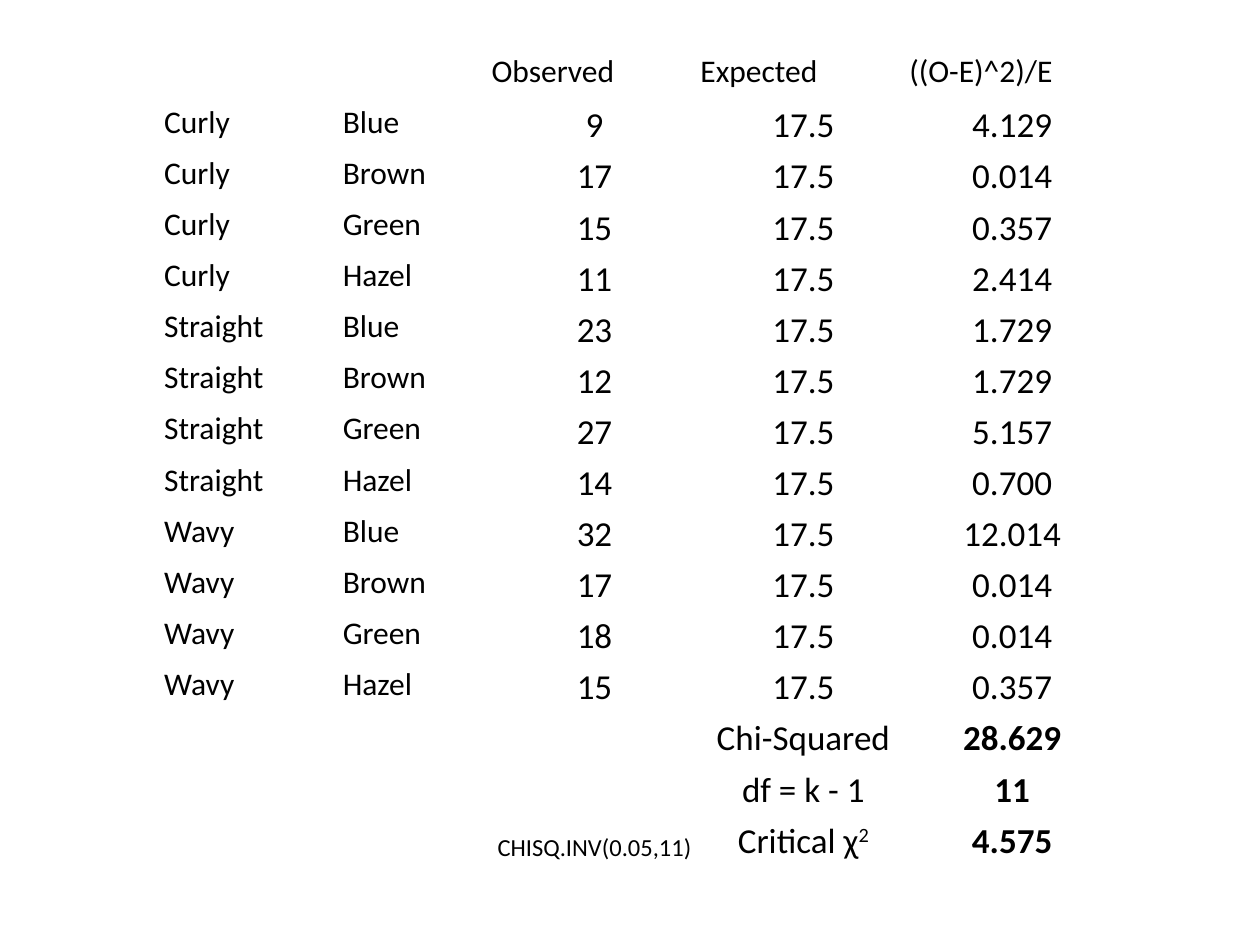
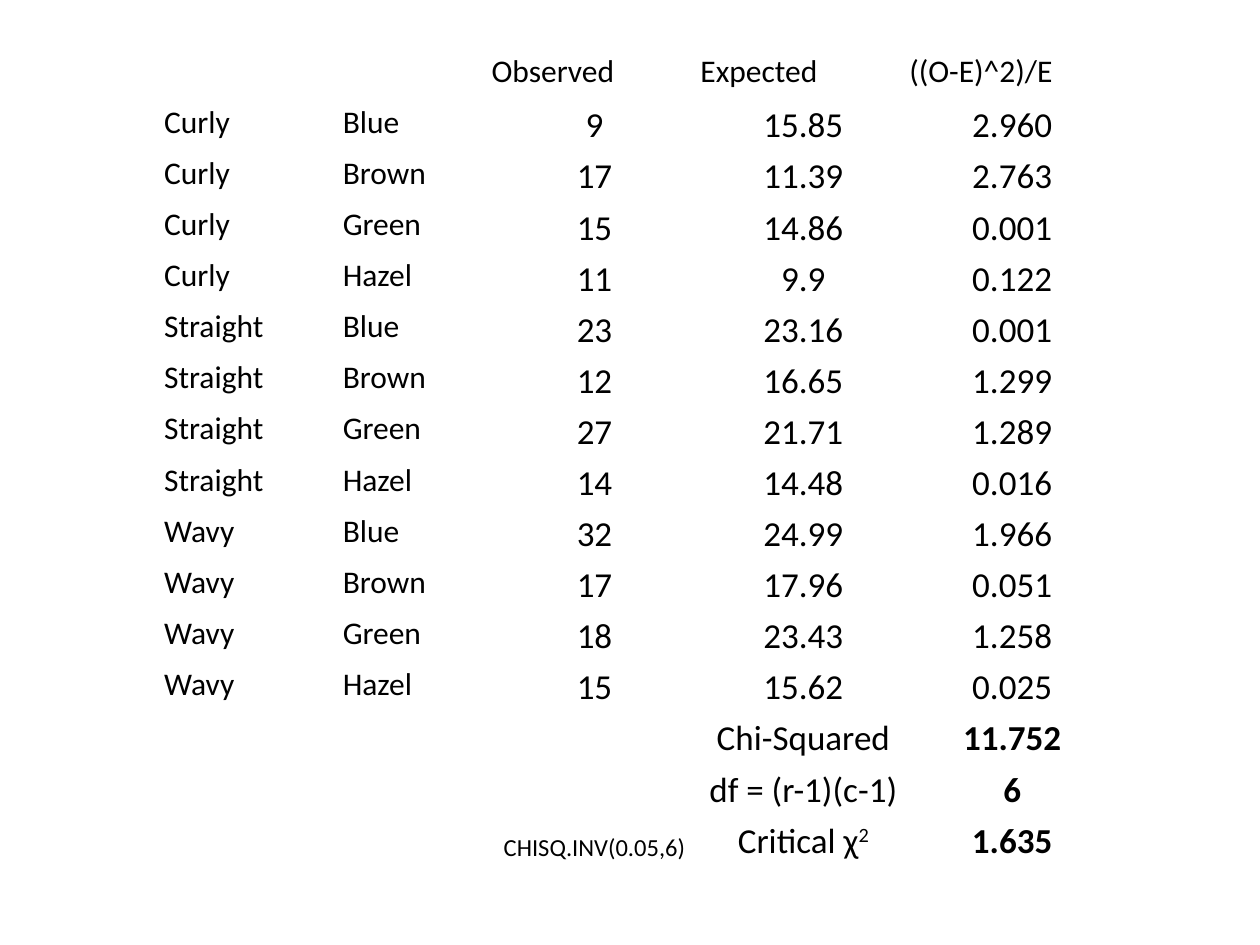
import dataclasses
import itertools

import pptx
import pptx.dml.color
import pptx.enum.text
import pptx.presentation
import pptx.table
import pptx.util

Cm = pptx.util.Cm
Anchor = pptx.enum.text.MSO_ANCHOR
Align = pptx.enum.text.PP_ALIGN

FONT = "Calibri"
INK = "000000"
PAPER = "FFFFFF"

TABLE_LEFT, TABLE_TOP = Cm(3.28), Cm(0.91)
ROW_HEIGHT = Cm(1.03)
COLUMN_WIDTHS = [Cm(3.6), Cm(3)] + [Cm(4.21)] * 3
INSET = Cm(0.03)

HEADINGS = ("", "", "Observed", "Expected", "((O-E)^2)/E")
HAIR_TYPES = ("Curly", "Straight", "Wavy")
EYE_COLOURS = ("Blue", "Brown", "Green", "Hazel")
OBSERVED = (9, 17, 15, 11, 23, 12, 27, 14, 32, 17, 18, 15)


@dataclasses.dataclass(frozen=True)
class CellStyle:
    size: int
    anchor: Anchor
    align: Align
    bold: bool = False


LABEL = CellStyle(18, Anchor.MIDDLE, Align.LEFT)
FIGURE = CellStyle(20, Anchor.BOTTOM, Align.CENTER)
RESULT = dataclasses.replace(FIGURE, bold=True)
FORMULA = dataclasses.replace(FIGURE, size=14)

HEADING_STYLES = (LABEL,) * 5
GROUP_STYLES = (LABEL, LABEL, FIGURE, FIGURE, FIGURE)
SUMMARY_STYLES = (LABEL, LABEL, FORMULA, FIGURE, RESULT)


@dataclasses.dataclass(frozen=True)
class ChiSquaredTest:
    expected: tuple[float, ...]
    contributions: tuple[float, ...]
    chi_squared: float
    freedom_rule: str
    freedom: int
    critical: float


GOODNESS_OF_FIT = ChiSquaredTest(
    expected=(17.5,) * 12,
    contributions=(4.129, 0.014, 0.357, 2.414, 1.729, 1.729,
                   5.157, 0.7, 12.014, 0.014, 0.014, 0.357),
    chi_squared=28.629,
    freedom_rule="k - 1",
    freedom=11,
    critical=4.575,
)
INDEPENDENCE = ChiSquaredTest(
    expected=(15.85, 11.39, 14.86, 9.9, 23.16, 16.65,
              21.71, 14.48, 24.99, 17.96, 23.43, 15.62),
    contributions=(2.96, 2.763, 0.001, 0.122, 0.001, 1.299,
                   1.289, 0.016, 1.966, 0.051, 1.258, 0.025),
    chi_squared=11.752,
    freedom_rule="(r-1)(c-1)",
    freedom=6,
    critical=1.635,
)


def colour(code: str) -> pptx.dml.color.RGBColor:
    return pptx.dml.color.RGBColor.from_string(code)


def write_cell(cell: pptx.table._Cell, text: str, style: CellStyle) -> None:
    cell.fill.background()
    cell.margin_left = cell.margin_right = cell.margin_top = INSET
    cell.margin_bottom = 0
    cell.vertical_anchor = style.anchor
    paragraph = cell.text_frame.paragraphs[0]
    paragraph.alignment = style.align
    paragraph.font.name = FONT
    paragraph.font.size = pptx.util.Pt(style.size)
    paragraph.font.bold = style.bold
    paragraph.font.color.rgb = colour(INK)
    if text:
        paragraph.add_run().text = text


def table_rows(test: ChiSquaredTest) -> list[tuple]:
    groups = itertools.product(HAIR_TYPES, EYE_COLOURS)
    rows = [(HEADINGS, HEADING_STYLES)]
    for (hair, eyes), observed, expected, contribution in zip(
        groups, OBSERVED, test.expected, test.contributions
    ):
        texts = (hair, eyes, str(observed), str(expected), f"{contribution:.3f}")
        rows.append((texts, GROUP_STYLES))
    summary = (
        ("", "Chi-Squared", f"{test.chi_squared:.3f}"),
        ("", f"df = {test.freedom_rule}", str(test.freedom)),
        (f"CHISQ.INV(0.05,{test.freedom})", "Critical χ", f"{test.critical:.3f}"),
    )
    rows += [(("", "", *texts), SUMMARY_STYLES) for texts in summary]
    return rows


def add_test_slide(deck: pptx.presentation.Presentation, test: ChiSquaredTest) -> None:
    slide = deck.slides.add_slide(deck.slide_layouts[6])
    slide.background.fill.solid()
    slide.background.fill.fore_color.rgb = colour(PAPER)
    rows = table_rows(test)
    table = slide.shapes.add_table(
        len(rows), len(COLUMN_WIDTHS), TABLE_LEFT, TABLE_TOP,
        sum(COLUMN_WIDTHS), ROW_HEIGHT * len(rows),
    ).table
    table.first_row = table.horz_banding = False
    for column, width in zip(table.columns, COLUMN_WIDTHS):
        column.width = width
    for row, (texts, styles) in zip(table.rows, rows):
        row.height = ROW_HEIGHT
        for cell, text, style in zip(row.cells, texts, styles):
            write_cell(cell, text, style)
    critical_label = table.cell(len(rows) - 1, 3).text_frame.paragraphs[0]
    square = critical_label.add_run()
    square.text = "2"
    square._r.get_or_add_rPr().set("baseline", "30000")


def main() -> None:
    deck = pptx.Presentation()
    deck.slide_width, deck.slide_height = Cm(25.4), Cm(19.05)
    for test in (GOODNESS_OF_FIT, INDEPENDENCE):
        add_test_slide(deck, test)
    deck.save("out.pptx")


if __name__ == "__main__":
    main()
